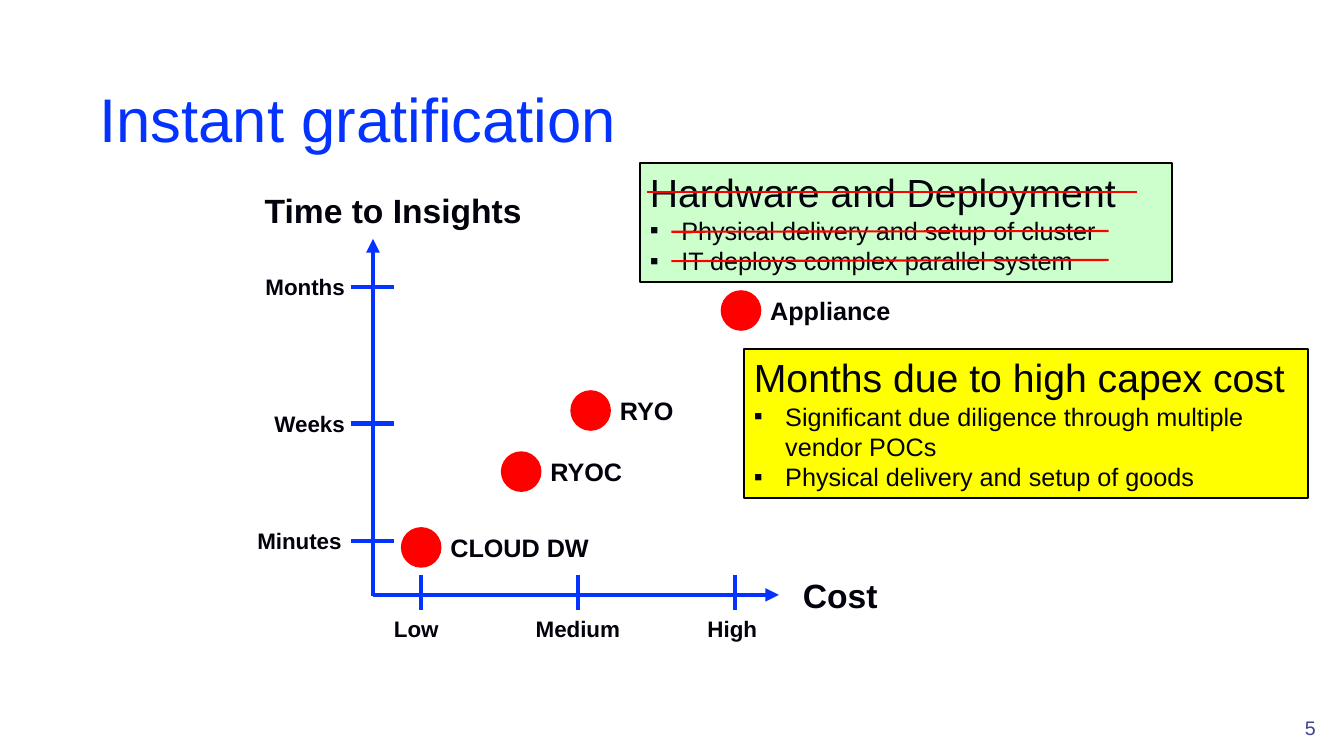
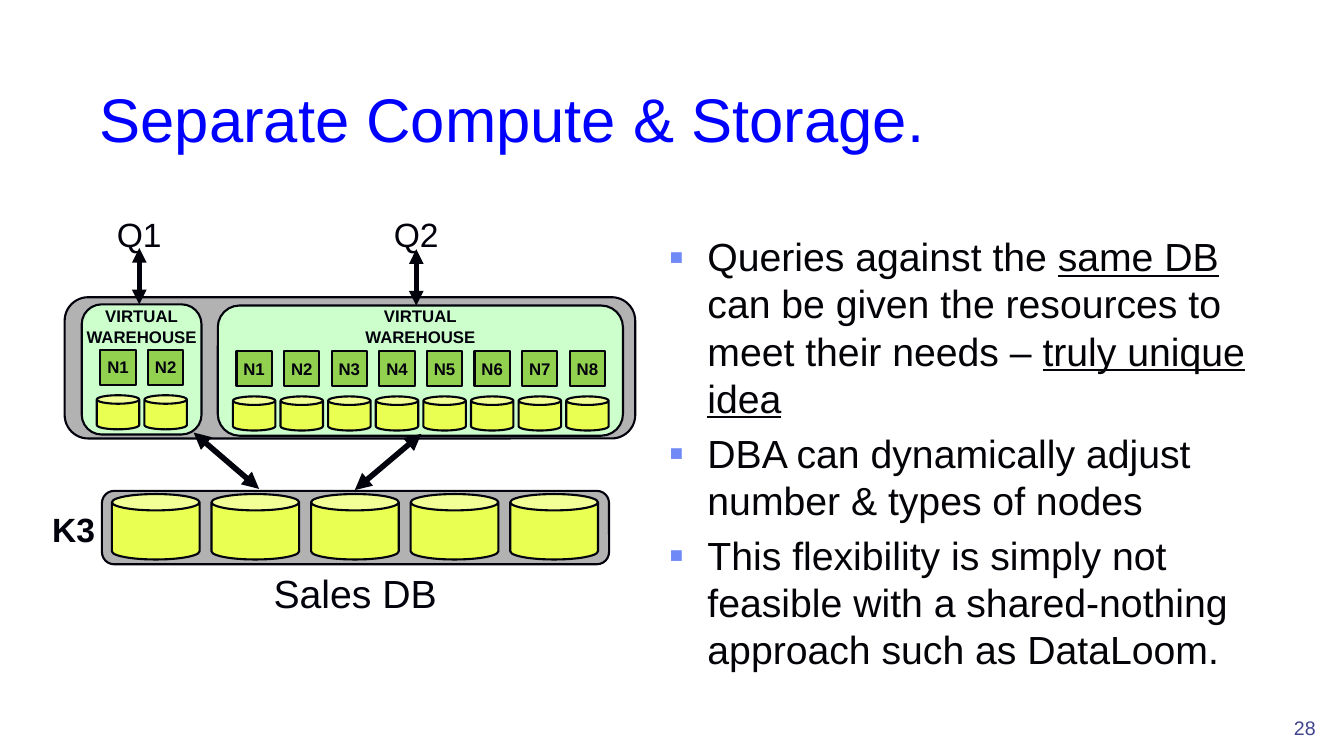
from lxml import etree
from pptx import Presentation
from pptx.dml.color import RGBColor
from pptx.enum.shapes import MSO_CONNECTOR, MSO_SHAPE
from pptx.enum.text import MSO_ANCHOR, PP_ALIGN
from pptx.oxml.ns import qn
from pptx.util import Cm, Pt

LEFT, CENTER, RIGHT = PP_ALIGN.LEFT, PP_ALIGN.CENTER, PP_ALIGN.RIGHT
TOP, MIDDLE, BOTTOM = MSO_ANCHOR.TOP, MSO_ANCHOR.MIDDLE, MSO_ANCHOR.BOTTOM
RECT, ROUNDED = MSO_SHAPE.RECTANGLE, MSO_SHAPE.ROUNDED_RECTANGLE
OVAL, CAN = MSO_SHAPE.OVAL, MSO_SHAPE.CAN
STRAIGHT = MSO_CONNECTOR.STRAIGHT

FONT = "Arial"
INK, BLACK, RED = "01020B", "000000", "FF0000"
AXIS_BLUE, TITLE_BLUE, NUMBER_BLUE = "0432FF", "0000FF", "40458C"
BULLET_BLUE, BODY_INK = "6F89F7", "040408"
MINT, YELLOW, GREY = "CCFFCC", "FFFF00", "B2B2B2"
LIME, LEAF = "E9FF51", "92D050"
BULLET = "▪"
color = RGBColor.from_string


def add_box(page, at, lines=(), size=18, ink=INK, bold=False, align=LEFT,
            anchor=TOP, shape=None, fill=None, outline=INK, inset=None,
            indent=0.79, bullet_size=18, bullet_ink=None, gap=0):
    """Add a shape or text box; a leading ▪ makes a bullet, _ toggles underline."""
    place = [Cm(length) for length in at]
    if shape is None:
        box = page.shapes.add_textbox(*place)
    else:
        box = page.shapes.add_shape(shape, *place)
        box.shadow.inherit = False
        box.fill.solid()
        box.fill.fore_color.rgb = color(fill)
        box.line.color.rgb = color(outline)
        box.line.width = Pt(1.5)
    frame = box.text_frame
    frame.word_wrap = True
    frame.vertical_anchor = anchor
    if inset is not None:
        frame.margin_left = frame.margin_right = Cm(inset)
        frame.margin_top = frame.margin_bottom = Cm(inset)
    for index, line in enumerate(lines):
        para = frame.paragraphs[0] if index == 0 else frame.add_paragraph()
        para.alignment = align
        bulleted = line.startswith(BULLET)
        if bulleted:
            props = para._p.get_or_add_pPr()
            props.set("marL", str(Cm(indent)))
            props.set("indent", str(-Cm(indent)))
            if bullet_ink:
                tint = etree.SubElement(props, qn("a:buClr"))
                etree.SubElement(tint, qn("a:srgbClr"), val=bullet_ink)
                etree.SubElement(props, qn("a:buSzPct"), val="110000")
            etree.SubElement(props, qn("a:buFont"), typeface=FONT)
            etree.SubElement(props, qn("a:buChar"), char=BULLET)
        if index and gap:
            para.space_before = Pt(gap)
        para.font.name = FONT
        para.font.size = Pt(bullet_size if bulleted else size)
        para.font.bold = bold
        para.font.color.rgb = color(ink)
        for part, text in enumerate(line.removeprefix(BULLET).split("_")):
            if text:
                span = para.add_run()
                span.text = text
                if part % 2:
                    span.font.underline = True


def add_line(page, start, end, ink, width, arrows=()):
    """Add a straight line; arrows names the ends (headEnd, tailEnd) to point."""
    line = page.shapes.add_connector(
        STRAIGHT, *[Cm(length) for length in (*start, *end)])
    line.line.color.rgb = color(ink)
    line.line.width = Pt(width)
    for arrow in arrows:
        etree.SubElement(line.line._get_or_add_ln(), qn("a:" + arrow), type="triangle")
    etree.SubElement(line._element.spPr, qn("a:effectLst"))


deck = Presentation()
deck.slide_width, deck.slide_height = Cm(33.87), Cm(19.05)

# Title and page number on every slide
pages = []
for title, ink, number in (("Instant gratification", AXIS_BLUE, "5"),
                           ("Separate Compute & Storage.", TITLE_BLUE, "28")):
    page = deck.slides.add_slide(deck.slide_layouts[6])
    add_box(page, (2.26, 0.84, 28.78, 3.18), [title], 44, ink, anchor=BOTTOM)
    add_box(page, (30.84, 17.48, 2.57, 1.27), [number], 14, NUMBER_BLUE,
            align=RIGHT, anchor=BOTTOM)
    pages.append(page)
chart_page, storage_page = pages

# Systems plotted by cost and time
DOT = 0.97
for name, left, top in (("Appliance", 18.19, 7.34), ("RYO", 14.4, 9.86),
                        ("RYOC", 12.65, 11.4), ("CLOUD DW", 10.13, 13.31)):
    add_box(chart_page, (left + DOT, top - 0.03, 4.4, 1.02), [name], bold=True)
    add_box(chart_page, (left, top, DOT, DOT), shape=OVAL, fill=RED, outline=RED)

# Cost axis
for index, (name, width) in enumerate((("Low", 1.88), ("Medium", 2.64), ("High", 1.88))):
    x = 10.62 + 3.95 * index
    add_line(chart_page, (x, 14.5), (x, 15.37), AXIS_BLUE, 3)
    add_box(chart_page, (x - width / 2, 15.37, width, 0.94), [name], 16, bold=True)
add_line(chart_page, (9.4, 14.99), (19.63, 14.99), AXIS_BLUE, 3.25, ["tailEnd"])
add_box(chart_page, (18.75, 14.35, 4.85, 1.27), ["Cost"], 24, bold=True, align=CENTER)

# Time axis
for name, y, right in (("Months", 7.23, 8.94), ("Weeks", 10.67, 8.94),
                       ("Minutes", 13.64, 8.86)):
    add_line(chart_page, (8.84, y), (9.93, y), AXIS_BLUE, 3)
    add_box(chart_page, (right - 3.1, y - 0.47, 3.1, 0.94), [name], 16,
            bold=True, align=RIGHT)
add_line(chart_page, (9.4, 15.01), (9.4, 6.02), AXIS_BLUE, 3.25, ["tailEnd"])
add_box(chart_page, (6.25, 4.65, 7.32, 1.27), ["Time to Insights"], 24,
        bold=True, align=CENTER)

# Callouts, the green one struck out
add_box(chart_page, (18.75, 8.79, 14.22, 3.76),
        ["Months due to high capex cost",
         "▪Significant due diligence through multiple vendor POCs",
         "▪Physical delivery and setup of goods"],
        28, shape=RECT, fill=YELLOW, outline=BLACK)
add_box(chart_page, (16.13, 4.11, 13.41, 3),
        ["Hardware and Deployment",
         "▪Physical delivery and setup of cluster",
         "▪IT deploys complex parallel system"],
        28, shape=RECT, fill=MINT, outline=BLACK)
for start, end in (((16.31, 4.85), (28.65, 4.85)),
                   ((16.92, 5.84), (27.94, 5.82)),
                   ((16.92, 6.58), (27.94, 6.55))):
    add_line(chart_page, start, end, RED, 1.5)

# Explanation
add_box(storage_page, (16.61, 5.74, 15.09, 11.43),
        ["▪Queries against the _same DB _can be given the resources to meet "
         "their needs – _truly unique idea_",
         "▪DBA can dynamically adjust number & types of nodes",
         "▪This flexibility is simply not feasible with a shared-nothing "
         "approach such as DataLoom."],
        ink=BODY_INK, indent=0.97, bullet_size=28, bullet_ink=BULLET_BLUE, gap=5.6)

# Shared storage
add_box(storage_page, (2.57, 12.37, 12.78, 1.85), shape=ROUNDED, fill=GREY)
for index in range(5):
    add_box(storage_page, (2.82 + 2.51 * index, 12.45, 2.21, 1.65), shape=CAN, fill=LIME)
add_box(storage_page, (6.12, 14.22, 5.66, 1.32), ["Sales DB"], 28, align=CENTER)
add_box(storage_page, (0.51, 12.7, 2.69, 1.17), ["K3"], 24, bold=True, align=CENTER)

# Virtual warehouses with their nodes, caches and queries
BOTH_ENDS = ["headEnd", "tailEnd"]
add_box(storage_page, (1.63, 7.49, 14.38, 3.56), shape=ROUNDED, fill=GREY)
for query, left, top, width, nodes, query_x, link_x, store_x in (
        ("Q1", 2.06, 7.67, 3.02, 2, 3.51, 4.88, 6.53),
        ("Q2", 5.49, 7.7, 10.21, 8, 10.49, 10.62, 8.94)):
    add_box(storage_page, (left, top, width, 3.28), shape=ROUNDED, fill=MINT)
    add_box(storage_page, (left + width / 2 - 1.75, 7.59, 3.5, 1.17),
            ["VIRTUAL", "WAREHOUSE"], 12, bold=True, align=CENTER)
    for node in range(nodes):
        x = left + 0.38 + 1.2 * node
        add_box(storage_page, (x, top + 2.29, 1.07, 0.86), shape=CAN, fill=LIME)
        add_box(storage_page, (x + 0.09, top + 1.14, 0.89, 0.89), [f"N{node + 1}"], 12,
                bold=True, align=CENTER, anchor=MIDDLE, shape=RECT, fill=LEAF, inset=0)
    add_box(storage_page, (query_x - 2.83, 5.26, 5.66, 1.17), [query], 24, align=CENTER)
    add_line(storage_page, (query_x, top - 1.42), (query_x, top), INK, 3.5, BOTH_ENDS)
    add_line(storage_page, (link_x, top + 3.23), (store_x, top + 4.65), INK, 4, BOTH_ENDS)

deck.save("out.pptx")
